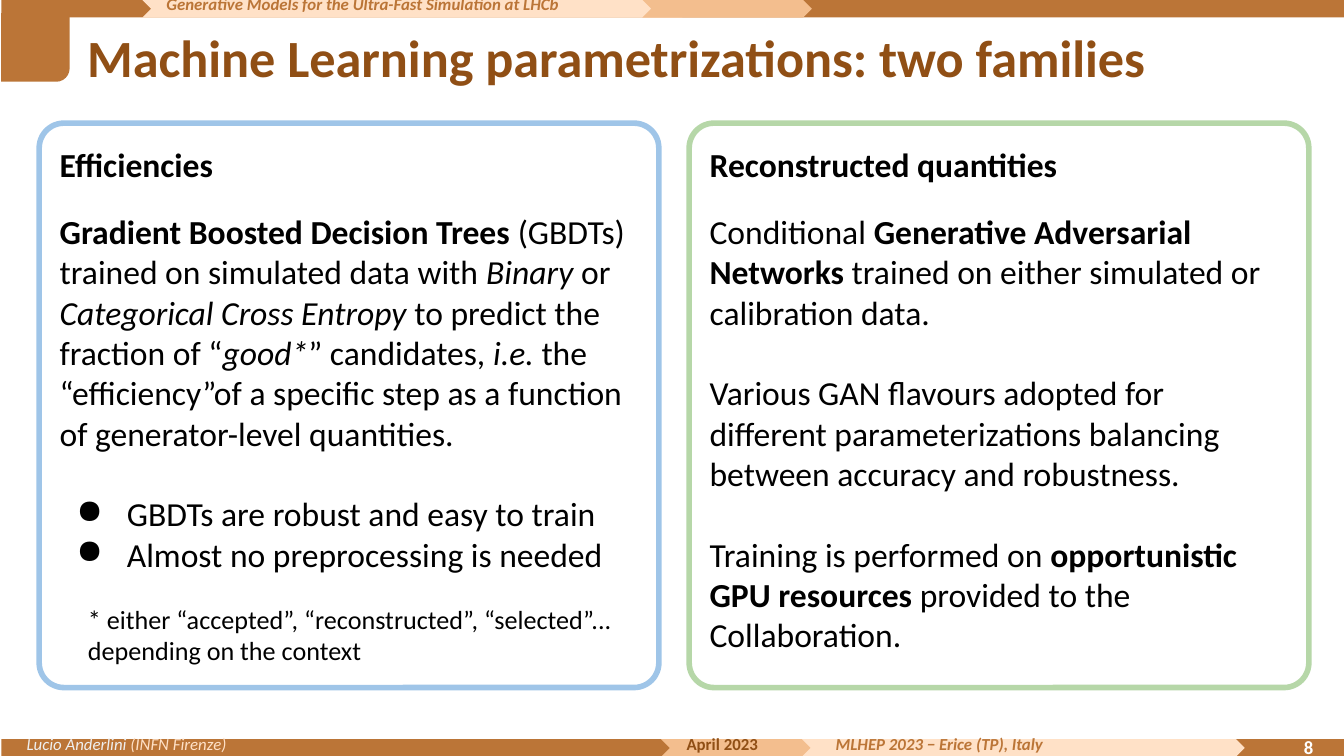
from lxml import etree
from pptx import Presentation
from pptx.dml.color import RGBColor
from pptx.enum import shapes, text
from pptx.oxml import ns
from pptx.util import Pt

BROWN = RGBColor(0xBB, 0x75, 0x37)
DARK = RGBColor(0x90, 0x4F, 0x15)
TAN = RGBColor(0xF3, 0xBE, 0x8E)
CREAM = RGBColor(0xFF, 0xE1, 0xC7)
PALE = RGBColor(0xEF, 0xEF, 0xEF)
BLUE = RGBColor(0x9F, 0xC5, 0xE8)
GREEN = RGBColor(0xB6, 0xD7, 0xA8)
BLACK = RGBColor(0, 0, 0)
WHITE = RGBColor(255, 255, 255)
KIND = shapes.MSO_SHAPE

prs = Presentation()
prs.slide_width, prs.slide_height = Pt(720), Pt(405)
s = prs.slides.add_slide(prs.slide_layouts[6])


def add_shape(kind, box, fill=None, line=None, adj=None):
    sp = s.shapes.add_shape(kind, *map(Pt, box))
    sp.shadow.inherit = False
    if adj is not None:
        sp.adjustments[0] = adj
    if fill is None:
        sp.fill.background()
    else:
        sp.fill.solid()
        sp.fill.fore_color.rgb = fill
    if line is None:
        sp.line.fill.background()
    else:
        sp.line.color.rgb = line
        sp.line.width = Pt(3)
    return sp


def add_text(runs, box=None, tf=None, size=18, color=BLACK, style="", before=0,
             bullet=False, align=text.PP_ALIGN.LEFT, anchor=text.MSO_ANCHOR.TOP):
    """Write one paragraph of (text, style[, color]) runs in a new box, or add it to tf.

    A style holds "b" for bold and "i" for italic; a plain string is a single run.
    """
    if tf is None:
        tf = s.shapes.add_textbox(*map(Pt, box)).text_frame
    tf.word_wrap = True
    tf.vertical_anchor = anchor
    tf.margin_left = tf.margin_right = tf.margin_top = tf.margin_bottom = Pt(7.2)
    p = tf.add_paragraph() if tf.text else tf.paragraphs[0]
    p.alignment = align
    p.space_before = Pt(before)
    if bullet:
        pPr = p._p.get_or_add_pPr()
        pPr.set("marL", str(Pt(36)))
        pPr.set("indent", str(-Pt(27)))
        etree.SubElement(pPr, ns.qn("a:buChar")).set("char", "●")
    for content, run_style, *run_color in [(runs, style)] if isinstance(runs, str) else runs:
        r = p.add_run()
        r.text = content
        r.font.name = "Calibri"
        r.font.size = Pt(size)
        r.font.bold = "b" in run_style
        r.font.italic = "i" in run_style
        r.font.color.rgb = run_color[0] if run_color else color


# Header and footer bands
BAND = 9.4
for top, chevrons in [
    (0, [(76.3, 293.8, CREAM), (344.2, 90.7, TAN)]),
    (396, [(373, 293.8, CREAM), (354.2, 80, TAN)]),
]:
    add_shape(KIND.RECTANGLE, (0.7, top, 720, BAND), BROWN)
    for left, width, color in chevrons:
        add_shape(KIND.CHEVRON, (left, top, width, BAND), color, adj=0.5)

add_text("April 2023", (360.7, 387.4, 60, 16), size=9, color=DARK, style="b")
add_text("MLHEP 2023 − Erice (TP), Italy", (440.6, 387.4, 226, 28),
         size=9, color=BROWN, style="bi")
add_text("Generative Models for the Ultra-Fast Simulation at LHCb", (82, -8.6, 290, 25),
         size=9, color=BROWN, style="bi")
add_text([("Lucio Anderlini ", "i", PALE), ("(INFN Firenze)", "i", CREAM)],
         (7.2, 387.4, 341, 16), size=9)
add_text("8", (667.4, 384.5, 43.2, 31), size=10, color=WHITE, style="b",
         align=text.PP_ALIGN.RIGHT, anchor=text.MSO_ANCHOR.MIDDLE)

# Title
corner = add_shape(KIND.ROUND_1_RECTANGLE, (0.6, 7.1, 36.7, 36.7), BROWN, adj=0.196)
corner.rotation = 90
add_text("Machine Learning parametrizations: two families", (39.6, 6.5, 671, 45),
         size=28, color=DARK, style="b")

# Two panels: paragraphs as (runs, space before, bullet)
efficiencies = [
    ([("Efficiencies", "b")], 0, False),
    ([("Gradient Boosted Decision Trees", "b"),
      (" (GBDTs) trained on simulated data with ", ""), ("Binary ", "i"), ("or ", ""),
      ("Categorical Cross Entropy", "i"), (" to predict the fraction of “", ""),
      ("good*", "i"), ("” candidates, ", ""), ("i.e. ", "i"),
      ("the “efficiency”of a specific step as a function of generator-level quantities.", "")],
     14.4, False),
    ("GBDTs are robust and easy to train", 21.6, True),
    ("Almost no preprocessing is needed", 0, True),
]
quantities = [
    ([("Reconstructed quantities", "b")], 0, False),
    ([("Conditional ", ""), ("Generative Adversarial Networks", "b"),
      (" trained on either simulated or calibration data.", "")], 14.4, False),
    ("Various GAN flavours adopted for different parameterizations balancing "
     "between accuracy and robustness.", 21.6, False),
    ([("Training is performed on ", ""), ("opportunistic GPU resources", "b"),
      (" provided to the Collaboration.", "")], 21.6, False),
]
for left, color, paragraphs in [(21, BLUE, efficiencies), (369.2, GREEN, quantities)]:
    panel = add_shape(KIND.ROUNDED_RECTANGLE, (left, 66, 332, 302.4), line=color, adj=0.044)
    for runs, before, bullet in paragraphs:
        add_text(runs, tf=panel.text_frame, before=before, bullet=bullet)

add_text("* either “accepted”, “reconstructed”, “selected”... depending on the context",
         (40, 316, 301, 48), size=14)

prs.save("out.pptx")
